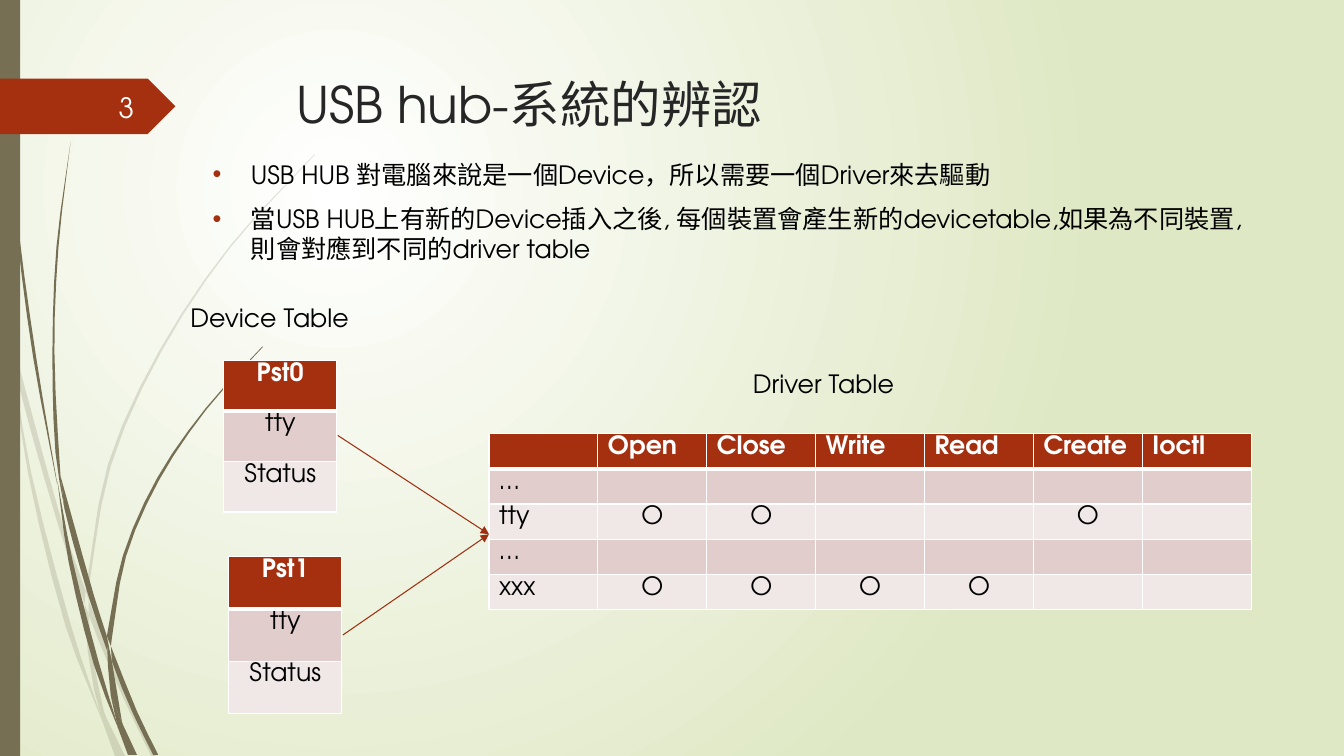
from itertools import product
from math import ceil, dist

from lxml.etree import SubElement as Sub
from pptx import Presentation
from pptx.dml.color import RGBColor
from pptx.enum.shapes import MSO_CONNECTOR as Link, MSO_SHAPE as Form
from pptx.enum.text import MSO_ANCHOR as Anchor, PP_ALIGN as Align
from pptx.oxml.ns import qn
from pptx.util import Inches, Pt

FONT = "TeX Gyre Adventor"
RUST, OLIVE, BLACK, WHITE = "A53010", "766F54", "000000", "FFFFFF"
BANDS = ["E1CDCC", "F0E8E7"]

# Each blade of grass: knots of one edge, then of the other edge
FAINT = [
    ([(.11, 3.5), (.09, 3.22), (0, 2.82)], [(0, 2.99), (.1, 3.44)]),
    ([(.14, 3.45), (.17, 3.76), (.58, 5.22), (.84, 5.99)],
     [(.85, 5.86), (.62, 5.2), (.14, 3.45)]),
    ([(.88, 5.96), (.88, 6.1), (1.23, 6.94), (1.5, 7.5)],
     [(1.55, 7.5), (1.27, 6.92), (.88, 5.96)]),
    ([(.11, 3.5), (.28, 4.7), (.65, 6.21), (1.01, 7.14)],
     [(.99, 7.07), (.7, 6.19), (.31, 4.69), (.11, 3.5)]),
    ([(.84, 5.99), (.87, 6.46), (.93, 6.83), (1.05, 7.11)],
     [(1.03, 7.06), (.91, 6.46), (.88, 6.1), (.84, 5.99)]),
    ([(3.12, 1.53), (2.28, 2.44), (1.58, 3.48), (1.07, 4.61), (.85, 5.86)],
     [(.88, 5.96), (.88, 5.84), (1.1, 4.62), (1.6, 3.49), (2.29, 2.45), (3.12, 1.54)]),
    ([(.93, 6.83), (1.01, 7.14), (1.14, 7.5)], [(1.24, 7.5), (1.05, 7.11), (.93, 6.83)]),
]
DARK = [
    ([(.04, 0), (.08, 1.09), (.19, 2.32), (.36, 3.55), (.57, 4.81)],
     [(.56, 4.77), (.33, 3.55), (.17, 2.33), (.07, 1.1), (.03, 0)]),
    ([(.6, 4.72), (.64, 5.05), (.88, 5.92), (1.06, 6.45)],
     [(1.06, 6.31), (.93, 5.9), (.6, 4.72)]),
    ([(1.1, 6.41), (1.11, 6.56), (1.32, 7.08), (1.52, 7.49)],
     [(1.57, 7.49), (1.36, 7.06), (1.1, 6.41)]),
    ([(.57, 4.77), (.68, 5.57), (.93, 6.59), (1.17, 7.22)],
     [(1.16, 7.17), (.98, 6.57), (.72, 5.56), (.57, 4.77)]),
    ([(.64, 5.05), (.6, 4.72), (.54, 3.49), (.58, 2.45), (.7, 1.41)],
     [(.7, 1.41), (.56, 2.45), (.52, 3.49), (.55, 4.49), (.64, 5.05)]),
    ([(2.6, 3.44), (2.04, 4.05), (1.56, 4.74), (1.22, 5.51), (1.06, 6.31)],
     [(1.1, 6.41), (1.11, 6.33), (1.25, 5.52), (1.58, 4.76), (2.05, 4.06), (2.61, 3.44)]),
    ([(1.06, 6.31), (1.1, 6.91), (1.22, 7.19)], [(1.21, 7.16), (1.11, 6.56), (1.06, 6.31)]),
    ([(1.1, 6.91), (1.17, 7.22), (1.27, 7.49)], [(1.36, 7.49), (1.22, 7.19), (1.1, 6.91)]),
]


def color(code):
    return RGBColor.from_string(code)


def tag(root, name, **attrs):
    return Sub(root, qn("a:" + name), attrs)


def paint(shape, code, alpha=100):
    shape.shadow.inherit = False
    shape.line.fill.background()
    shape.fill.solid()
    shape.fill.fore_color.rgb = color(code)
    if alpha < 100:
        tint = shape.fill._xPr.find(".//" + qn("a:srgbClr"))
        tag(tint, "alpha", val=str(alpha * 1000))


def curve(knots):
    """Smooth line through the knots, as Hermite pieces."""
    last = len(knots) - 1
    slopes = []
    for i in range(last + 1):
        a, b, c = knots[max(i - 1, 0)], knots[i], knots[min(i + 1, last)]
        span = dist(a, b) + dist(b, c)
        slopes.append([(z - x) / span for x, z in zip(a, c)])
    dots = [knots[0]]
    for i in range(last):
        size = dist(knots[i], knots[i + 1])
        steps = min(3, ceil(size / .4))
        for step in range(1, steps + 1):
            t = step / steps
            ends = zip(knots[i], knots[i + 1], slopes[i], slopes[i + 1])
            dots.append([a + (b - a) * t * t * (3 - 2 * t)
                         + size * t * (1 - t) * (u * (1 - t) - v * t)
                         for a, b, u, v in ends])
    return dots


def blade(slide, edges, alpha):
    dots = [(Inches(x), Inches(y)) for edge in edges for x, y in curve(edge)]
    pen = slide.shapes.build_freeform(*dots[0])
    pen.add_line_segments(dots[1:])
    paint(pen.convert_to_shape(), OLIVE, alpha)


def block(slide, form, *box):
    return slide.shapes.add_shape(form, *map(Inches, box))


def write(para, text, size=18, code=BLACK, bold=False):
    run = para.add_run()
    run.text = text
    font = run.font
    font.name, font.size, font.bold = FONT, Pt(size), bold
    font.color.rgb = color(code)


def note(slide, box, texts, size=18, code=BLACK, wrap=True, align=Align.LEFT, dots=False):
    frame = slide.shapes.add_textbox(*map(Inches, box)).text_frame
    frame.word_wrap = wrap
    for i, text in enumerate(texts):
        para = frame.add_paragraph() if i else frame.paragraphs[0]
        para.alignment = align
        write(para, text, size, code)
        if dots:
            bullet(para)
    return frame


def bullet(para):
    para.space_before = Pt(10)
    props = para._p.get_or_add_pPr()
    props.set("marL", str(Inches(.38)))
    props.set("indent", str(-Inches(.38)))
    tag(tag(props, "buClr"), "srgbClr", val=RUST)
    tag(props, "buFont", typeface="Arial")
    tag(props, "buChar", char="•")


def border(cell, head):
    props = cell._tc.get_or_add_tcPr()
    for side in "LRTB":
        width = 3 if head and side == "B" else 1
        line = tag(props, "ln" + side, w=str(Pt(width)))
        tag(tag(line, "solidFill"), "srgbClr", val=WHITE)


def grid(slide, left, top, wide, high, rows, centre=0):
    """Table with a dark head; columns from `centre` on are centred below it."""
    count = len(rows[0])
    table = slide.shapes.add_table(len(rows), count, *map(
        Inches, (left, top, wide * count, high * len(rows)))).table
    for col in table.columns:
        col.width = Inches(wide)
    for row in table.rows:
        row.height = Inches(high)
    for r, c in product(range(len(rows)), range(count)):
        cell, head = table.cell(r, c), r == 0
        cell.margin_top = cell.margin_bottom = Inches(.02)
        border(cell, head)
        cell.fill.solid()
        cell.fill.fore_color.rgb = color(RUST if head else BANDS[(r - 1) % 2])
        para = cell.text_frame.paragraphs[0]
        if count == 1 or (not head and c >= centre):
            para.alignment = Align.CENTER
        if rows[r][c]:
            write(para, rows[r][c], code=WHITE if head else BLACK, bold=head)
        else:
            para.font.size = Pt(18)


def arrow(slide, *ends):
    link = slide.shapes.add_connector(Link.STRAIGHT, *map(Inches, ends))
    link.line.color.rgb = color("9E2E0F")
    link.line.width = Pt(.75)
    tag(link.line._get_or_add_ln(), "tailEnd", type="triangle")
    tag(link._element.spPr, "effectLst")


def glow(slide):
    fill = slide.background.fill
    fill.gradient()
    for stop, code, place in zip(fill.gradient_stops, (WHITE, "DFE8C4"), (0, 1)):
        stop.color.rgb = color(code)
        stop.position = place
    root = slide._element.find(".//" + qn("a:gradFill"))
    root.remove(root.find(qn("a:lin")))
    tag(tag(root, "path", path="circle"), "fillToRect",
        l="50000", t="50000", r="100000", b="100000")


def main():
    deck = Presentation()
    deck.slide_width, deck.slide_height = Inches(13.33), Inches(7.5)
    slide = deck.slides.add_slide(deck.slide_layouts[6])

    # Backdrop: glow, grass, side bar, page flag
    glow(slide)
    for blades, alpha in ((FAINT, 20), (DARK, 100)):
        for edges in blades:
            blade(slide, edges, alpha)
    paint(block(slide, Form.RECTANGLE, 0, 0, .2, 7.5), OLIVE)
    paint(block(slide, Form.PENTAGON, 0, .78, 1.74, .55), RUST)

    # Title and labels
    note(slide, (2.84, .68, 9.75, 1.4), ["USB hub-系統的辨認"], 36, "262626")
    note(slide, (7.37, 3.61, 1.63, .4), ["Driver Table"], wrap=False)
    note(slide, (1.79, 2.95, 1.81, .4), ["Device Table"], wrap=False)

    # Tables
    grid(slide, 4.85, 4.3, 1.08, .35, [
        ["", "Open", "Close", "Write", "Read", "Create", "Ioctl"],
        ["…"] + [""] * 6,
        ["tty", "O", "O", "", "", "O", ""],
        ["…"] + [""] * 6,
        ["xxx", "O", "O", "O", "O", "", ""]], centre=1)
    for name, left, top, high in (("Pst1", 2.27, 5.52, .52), ("Pst0", 2.22, 3.58, .5)):
        grid(slide, left, top, 1.12, high, [[name], ["tty"], ["Status"]])

    # Arrows to the driver row
    for x, y in ((3.35, 4.32), (3.4, 6.3)):
        arrow(slide, x, y, 4.85, 5.3)

    # Body and page number
    note(slide, (2.01, 1.53, 10.55, 1.23), [
        "USB HUB 對電腦來說是一個Device，所以需要一個Driver來去驅動",
        "當USB HUB上有新的Device插入之後, 每個裝置會產生新的devicetable,"
        "如果為不同裝置,則會對應到不同的driver table"], dots=True)
    page = note(slide, (.58, .86, .85, .4), ["3"], 20, "FEFFFF", align=Align.RIGHT)
    page.vertical_anchor = Anchor.MIDDLE
    deck.save("out.pptx")


if __name__ == "__main__":
    main()
